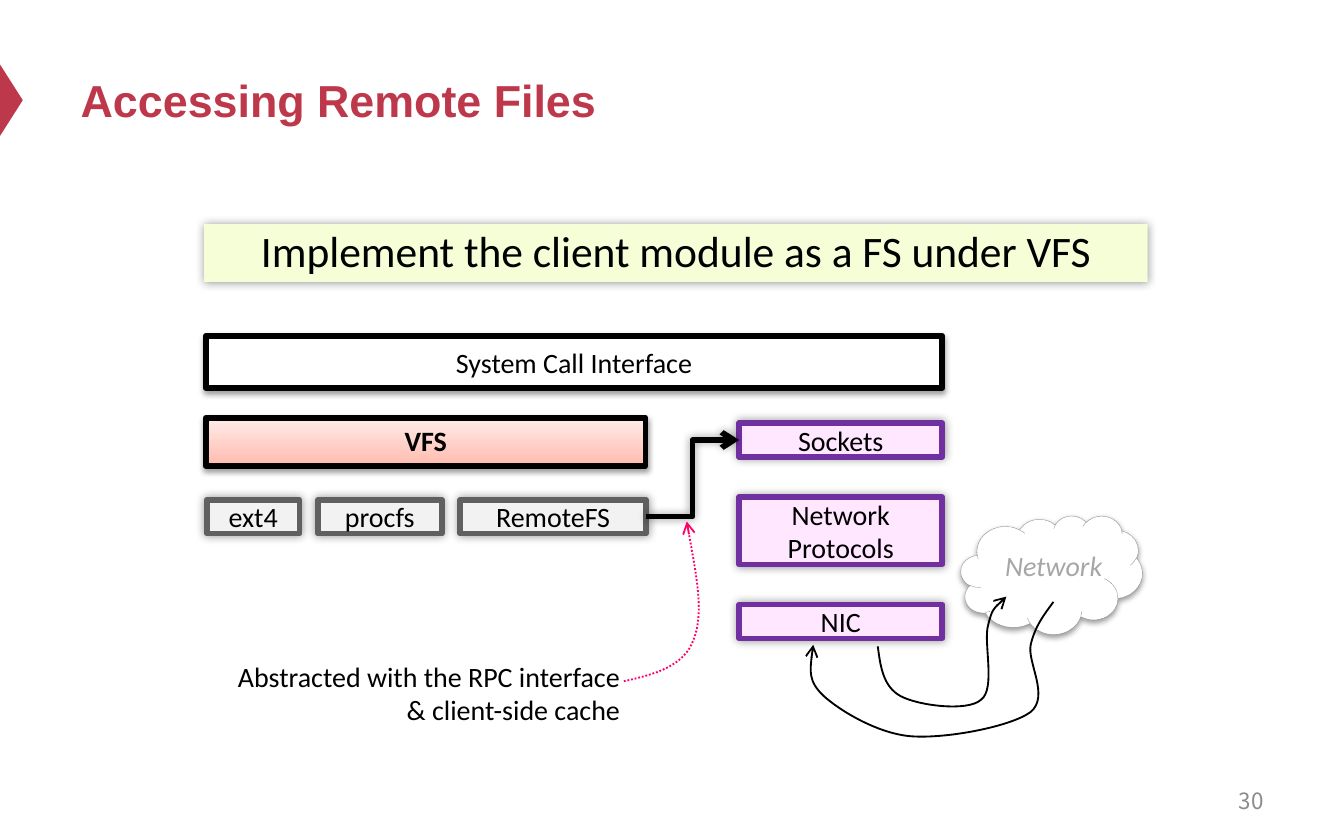
from itertools import accumulate

from lxml import etree
from pptx import Presentation
from pptx.dml.color import RGBColor
from pptx.enum import dml, shapes, text
from pptx.oxml.ns import qn
from pptx.util import Cm, Pt

# Theme: colours, type sizes and shadows (blur pt, distance pt, angle, opacity %)
THEME = {
    "font": "Calibri", "title_font": "Arial", "number_font": "Noto Sans CJK SC",
    "title": 24, "banner": 23.3, "body": 15, "small": 12,
    "red": "BE384B", "black": "000000", "white": "FFFFFF", "number": "8C8C8C",
    "banner_fill": "F5FED6", "vfs_fill": ("FFBBAE", "FFECE9"),
    "fs_fill": "F2F2F2", "fs_line": "606060",
    "net_fill": "FFE7FF", "net_line": "7030A0",
    "cloud_line": "808080", "cloud_text": "A6A6A6", "accent": "FF0066",
    "glow": (5, 0, 0, 40), "drop": (3.1, 1.6, 90, 38),
}

# Content
TITLE = "Accessing Remote Files"
BANNER = "Implement the client module as a FS under VFS"
SYSCALL, VFS, CLOUD, NUMBER = "System Call Interface", "VFS", "Network", "30"
NOTE = ["Abstracted with the RPC interface", "& client-side cache"]
FILE_SYSTEMS = [("ext4", 1.75), ("procfs", 2.34), ("RemoteFS", 3.51)]  # name, width
NETWORK = [("Sockets", 0.64), ("Network Protocols", 1.27), ("NIC", 0.64)]  # name, height

# Curves: start point, then two control points and an end point per piece (cm)
SEND = [(16.59, 12.22),
        (16.64, 12.6), (16.69, 12.98), (17.02, 13.16),
        (17.35, 13.34), (18.29, 13.46), (18.54, 13.23),
        (18.82, 13.03), (18.59, 12.17), (18.67, 11.84),
        (18.75, 11.51), (18.87, 11.4), (19.02, 11.28)]
RECEIVE = [(19.91, 11.38),
           (19.74, 11.61), (19.56, 11.84), (19.48, 12.19),
           (19.41, 12.52), (19.84, 13.16), (19.48, 13.46),
           (19.1, 13.74), (17.88, 13.97), (17.22, 13.92),
           (16.59, 13.87), (15.88, 13.44), (15.57, 13.16),
           (15.27, 12.88), (15.32, 12.52), (15.37, 12.19)]
NOTE_CURVE = [(11.79, 12.88),
              (12.37, 12.75), (12.93, 12.6), (13.11, 12.09),
              (13.31, 11.58), (13.13, 10.72), (12.98, 9.86)]

ALIGN, ANCHOR = text.PP_ALIGN, text.MSO_ANCHOR
SHAPE = shapes.MSO_SHAPE


def color(name):
    return RGBColor.from_string(THEME.get(name, name))


def write(sp, lines, size="body", ink="black", font="font", align=ALIGN.CENTER,
          anchor=ANCHOR.MIDDLE, margins=None, bold=False, italic=False):
    tf = sp.text_frame
    tf.text = "\n".join(lines)
    tf.word_wrap = True
    tf.vertical_anchor = anchor
    if margins:
        tf.margin_left, tf.margin_top, tf.margin_right, tf.margin_bottom = map(Cm, margins)
    for p in tf.paragraphs:
        p.alignment = align
        for r in p.runs:
            r.font.name, r.font.size = THEME[font], Pt(THEME[size])
            r.font.bold, r.font.italic = bold, italic
            r.font.color.rgb = color(ink)


def set_effect(sp, kind=None):
    """Replace the inherited shadow by a named one, or by none."""
    effects = etree.SubElement(sp.element.spPr, qn("a:effectLst"))
    if kind:
        blur, dist, angle, opacity = THEME[kind]
        shadow = etree.SubElement(effects, qn("a:outerShdw"), blurRad=str(Pt(blur)),
                                  dist=str(Pt(dist)), dir=str(angle * 60000), rotWithShape="0")
        ink = etree.SubElement(shadow, qn("a:srgbClr"), val=THEME["black"])
        etree.SubElement(ink, qn("a:alpha"), val=str(opacity * 1000))


def set_line(sp, name, width, dotted=False, arrow=False):
    sp.line.color.rgb = color(name)
    sp.line.width = Pt(width)
    if dotted:
        sp.line.dash_style = dml.MSO_LINE.ROUND_DOT
    if arrow:
        etree.SubElement(sp.element.spPr.find(qn("a:ln")), qn("a:tailEnd"), type="arrow")


def add_shape(slide, kind, box, fill, line=None, width=3, shadow=None, dotted=False):
    sp = slide.shapes.add_shape(kind, *map(Cm, box))
    if isinstance(THEME[fill], tuple):
        sp.fill.gradient()
        sp.fill.gradient_angle = 90
        for stop, stop_color in zip(sp.fill.gradient_stops, THEME[fill]):
            stop.color.rgb = color(stop_color)
    else:
        sp.fill.solid()
        sp.fill.fore_color.rgb = color(fill)
    if line:
        set_line(sp, line, width, dotted)
    else:
        sp.line.fill.background()
    set_effect(sp, shadow)
    return sp


def add_label(slide, box, lines, **style):
    write(slide.shapes.add_textbox(*map(Cm, box)), lines, **style)


def add_curve(slide, points, line, dotted=False):
    start, *rest = [(Cm(x), Cm(y)) for x, y in points]
    builder = slide.shapes.build_freeform(*start)
    builder.add_line_segments(rest, close=False)
    sp = builder.convert_to_shape()
    # Turn each three straight pieces into one Bezier piece
    outline = next(sp.element.iter(qn("a:path")))
    pieces = outline.findall(qn("a:lnTo"))
    for i in range(0, len(pieces), 3):
        bezier = etree.SubElement(outline, qn("a:cubicBezTo"))
        for piece in pieces[i:i + 3]:
            bezier.append(piece[0])
            outline.remove(piece)
    sp.fill.background()
    set_line(sp, line, 1, dotted, arrow=True)
    set_effect(sp)


def main():
    prs = Presentation()
    prs.slide_width, prs.slide_height = Cm(25.4), Cm(15.88)
    slide = prs.slides.add_slide(prs.slide_layouts[5])

    # Title, side marker and page number
    marker = add_shape(slide, SHAPE.ISOSCELES_TRIANGLE, (-0.46, 1.68, 1.35, 0.43), "red")
    marker.rotation = 90
    title = slide.shapes.title
    title.left, title.top, title.width, title.height = map(Cm, (1.27, 0.64, 22.86, 2.49))
    write(title, [TITLE], "title", "red", "title_font", ALIGN.LEFT, bold=True)
    add_label(slide, (18.21, 14.71, 5.92, 0.84), [NUMBER], size="small", ink="number",
              font="number_font", align=ALIGN.RIGHT)

    # Network cloud
    add_shape(slide, SHAPE.CLOUD, (18.16, 9.75, 3.43, 2.24), "white", "cloud_line", 0.25,
              "drop", dotted=True)
    add_label(slide, (17.96, 10.24, 3.91, 0.89), [CLOUD], ink="cloud_text",
              anchor=ANCHOR.TOP, italic=True)

    # Banner and the two upper layers
    banner = add_shape(slide, SHAPE.RECTANGLE, (3.86, 4.24, 17.83, 1.09), "banner_fill",
                       shadow="glow")
    write(banner, [BANNER], "banner", anchor=ANCHOR.TOP, margins=(0.18, 0, 0.18, 0.08))
    vfs = add_shape(slide, SHAPE.RECTANGLE, (3.89, 7.9, 8.31, 0.91), "vfs_fill", "black",
                    shadow="drop")
    write(vfs, [VFS], margins=(0.25, 0.08, 0.25, 0.13), bold=True)
    syscall = add_shape(slide, SHAPE.RECTANGLE, (3.89, 6.35, 13.92, 0.99), "white", "black",
                        shadow="drop")
    write(syscall, [SYSCALL], margins=(0.25, 0.08, 0.25, 0.08))

    # File systems in a row, network layers in a column
    lefts = accumulate((w + 0.35 for _, w in FILE_SYSTEMS), initial=3.91)
    tops = accumulate((h + 0.76 for _, h in NETWORK), initial=8.0)
    modules = [(name, (x, 9.45, w, 0.64), "fs") for (name, w), x in zip(FILE_SYSTEMS, lefts)]
    modules += [(name, (13.97, y, 3.84, h), "net") for (name, h), y in zip(NETWORK, tops)]
    boxes = {}
    for name, box, group in modules:
        boxes[name] = add_shape(slide, SHAPE.RECTANGLE, box, group + "_fill",
                                group + "_line", shadow="glow")
        write(boxes[name], [name], margins=(0.08, 0, 0.08, 0))

    # Remote file system to sockets
    link = slide.shapes.add_connector(shapes.MSO_CONNECTOR.ELBOW, 0, 0, 0, 0)
    link.begin_connect(boxes["RemoteFS"], 3)
    link.end_connect(boxes["Sockets"], 1)
    set_line(link, "black", 3, arrow=True)
    set_effect(link, "glow")

    # Traffic curves and the note
    add_curve(slide, SEND, "black")
    add_curve(slide, RECEIVE, "black")
    add_label(slide, (2.9, 12.34, 9.07, 1.55), NOTE, align=ALIGN.RIGHT, anchor=ANCHOR.TOP)
    add_curve(slide, NOTE_CURVE, "accent", dotted=True)

    prs.save("out.pptx")


if __name__ == "__main__":
    main()
